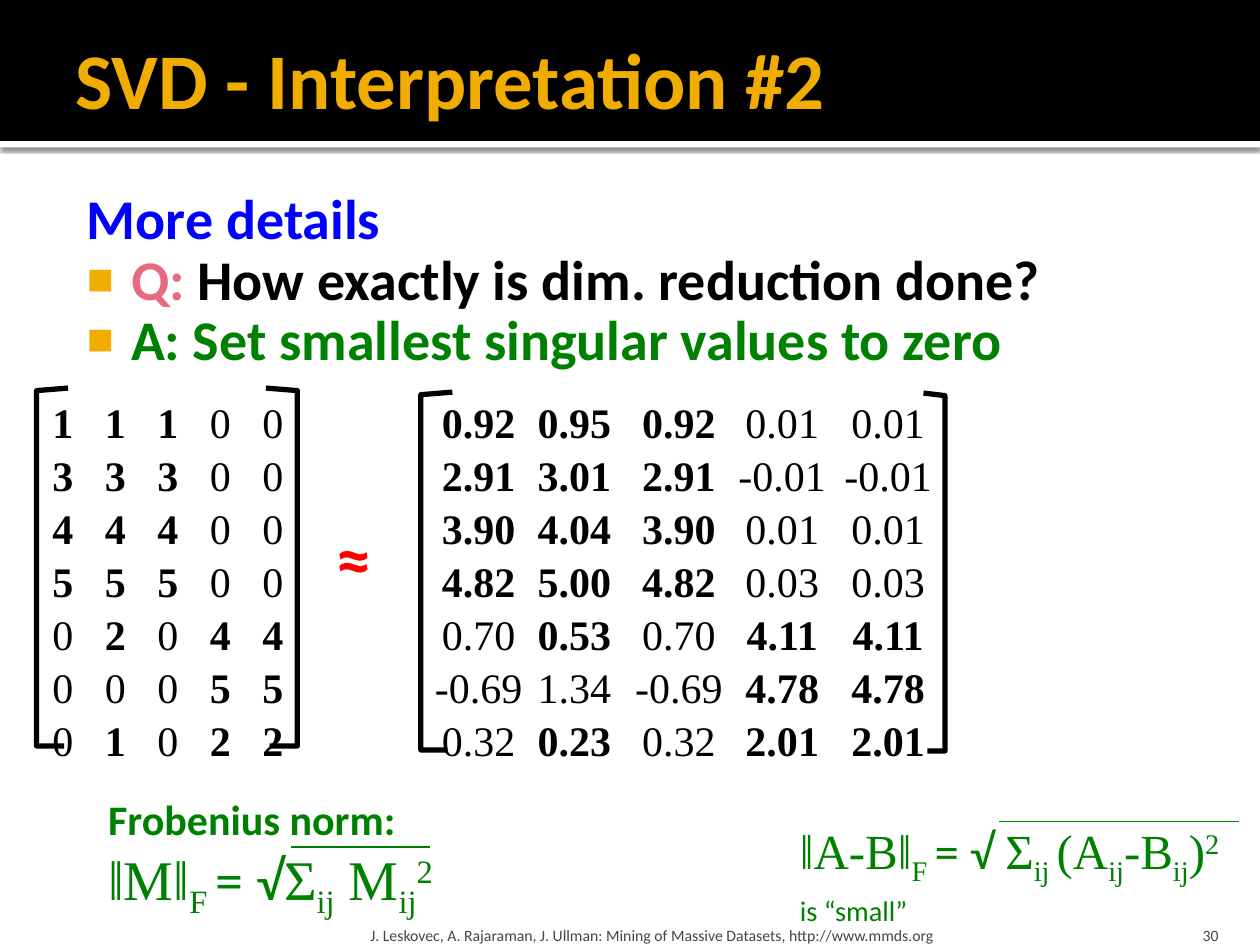
from lxml import etree
from pptx import Presentation
from pptx import util as u
from pptx.dml.color import RGBColor
from pptx.enum import shapes, text
from pptx.oxml.ns import qn

BLACK = RGBColor(0x00, 0x00, 0x00)
WHITE = RGBColor(0xFF, 0xFF, 0xFF)
AMBER = RGBColor(0xF0, 0xAD, 0x00)
BLUE = RGBColor(0x00, 0x00, 0xFF)
PINK = RGBColor(0xE6, 0x6C, 0x7D)
GREEN = RGBColor(0x00, 0x80, 0x00)
RED = RGBColor(0xFF, 0x00, 0x00)
GRAY = RGBColor(0x45, 0x45, 0x45)
SANS, SERIF = "Calibri", "Times New Roman"

deck = Presentation()
deck.slide_width, deck.slide_height = u.Inches(10), u.Inches(7.5)
COL, ROW = deck.slide_width / 100, deck.slide_height / 100
slide = deck.slides.add_slide(deck.slide_layouts[1])


def add_run(paragraph, words, size, color, font=SANS, bold=False, baseline=0):
    run = paragraph.add_run()
    run.text = words
    run.font.size, run.font.name, run.font.bold = u.Pt(size), font, bold
    run.font.color.rgb = color
    if baseline:
        run._r.get_or_add_rPr().set("baseline", str(baseline * 1000))


def add_frame(left, top, width, height, wrap=True, anchor=text.MSO_ANCHOR.TOP):
    frame = slide.shapes.add_textbox(
        round(left * COL), round(top * ROW), round(width * COL), round(height * ROW)
    ).text_frame
    frame.word_wrap = wrap
    frame.vertical_anchor = anchor
    return frame


HEADER_ROWS = 14.93
stripe, header = [
    slide.shapes.add_shape(
        shapes.MSO_SHAPE.RECTANGLE, 0, round(top * ROW), deck.slide_width, round(height * ROW)
    )
    for top, height in ((HEADER_ROWS, 0.67), (0, HEADER_ROWS))
]
for depth, (band, color) in enumerate(((stripe, WHITE), (header, BLACK))):
    band.shadow.inherit = False
    band.fill.solid()
    band.fill.fore_color.rgb = color
    band.line.fill.background()
    slide.shapes._spTree.insert(2 + depth, band._element)

effects = stripe._element.spPr.find(qn("a:effectLst"))
shadow = etree.SubElement(
    effects, qn("a:outerShdw"), blurRad="31750", dist="10160", dir="5400000", rotWithShape="0"
)
shade = etree.SubElement(shadow, qn("a:srgbClr"), val="000000")
etree.SubElement(shade, qn("a:alpha"), val="60000")

title, body = slide.shapes.title, slide.placeholders[1]
for holder, top, height, margins in (
    (title, 1.07, 14.4, (0.1, 0.05, 0.05, 0.05)),
    (body, 18.93, 76.67, (0.06, 0.1, 0.1, 0.05)),
):
    holder.left, holder.top = round(5 * COL), round(top * ROW)
    holder.width, holder.height = round(90 * COL), round(height * ROW)
    frame = holder.text_frame
    frame.auto_size = text.MSO_AUTO_SIZE.NONE
    frame.margin_left, frame.margin_top, frame.margin_right, frame.margin_bottom = map(u.Inches, margins)

title.text_frame.vertical_anchor = text.MSO_ANCHOR.MIDDLE
heading = title.text_frame.paragraphs[0]
heading.alignment = text.PP_ALIGN.LEFT
add_run(heading, "SVD - Interpretation #2", 45, AMBER, bold=True)

points = (
    (False, (("More details", BLUE),)),
    (True, (("Q: ", PINK), ("How exactly is dim. reduction done?", BLACK))),
    (True, (("A: Set smallest singular values to zero", GREEN),)),
)
for index, (bulleted, parts) in enumerate(points):
    point = body.text_frame.add_paragraph() if index else body.text_frame.paragraphs[0]
    point.line_spacing, point.space_before = 0.9, u.Pt(0)
    layout = point._p.get_or_add_pPr()
    layout.set("marL", str(u.Inches(0.48)))
    layout.set("indent", str(u.Inches(-0.35)))
    if bulleted:
        tint = etree.SubElement(layout, qn("a:buClr"))
        etree.SubElement(tint, qn("a:srgbClr"), val=str(AMBER))
        etree.SubElement(layout, qn("a:buSzPct"), val="80000")
        etree.SubElement(layout, qn("a:buChar"), char="■")
    else:
        etree.SubElement(layout, qn("a:buNone"))
    for words, color in parts:
        add_run(point, words, 32, color, bold=True)

for left, width, words, inset, alignment in (
    (28.9, 60.2, "J. Leskovec, A. Rajaraman, J. Ullman: Mining of Massive Datasets, http://www.mmds.org",
     0.05, text.PP_ALIGN.LEFT),
    (89.7, 8, "30", 0.1, text.PP_ALIGN.RIGHT),
):
    footer = add_frame(left, 96, width, 4, anchor=text.MSO_ANCHOR.BOTTOM)
    footer.margin_left = footer.margin_right = u.Inches(inset)
    footer.margin_bottom = 0
    footer.paragraphs[0].alignment = alignment
    add_run(footer.paragraphs[0], words, 9, GRAY)

ratings = [
    "1 1 1 0 0".split(),
    "3 3 3 0 0".split(),
    "4 4 4 0 0".split(),
    "5 5 5 0 0".split(),
    "0 2 0 4 4".split(),
    "0 0 0 5 5".split(),
    "0 1 0 2 2".split(),
]
approximation = [
    "0.92 0.95 0.92 0.01 0.01".split(),
    "2.91 3.01 2.91 -0.01 -0.01".split(),
    "3.90 4.04 3.90 0.01 0.01".split(),
    "4.82 5.00 4.82 0.03 0.03".split(),
    "0.70 0.53 0.70 4.11 4.11".split(),
    "-0.69 1.34 -0.69 4.78 4.78".split(),
    "0.32 0.23 0.32 2.01 2.01".split(),
]
for matrix, left, width, centers in (
    (ratings, 2.5, 21.7, [1.5 + 4.17 * step for step in range(5)]),
    (approximation, 33.3, 47.5, (3.7, 11.3, 19.6, 27.8, 36.2)),
):
    frame = add_frame(left, 41.07, width, 39.07)
    for index, values in enumerate(matrix):
        line = frame.add_paragraph() if index else frame.paragraphs[0]
        line.line_spacing = 1.05
        stops = etree.SubElement(line._p.get_or_add_pPr(), qn("a:tabLst"))
        for center in centers:
            etree.SubElement(stops, qn("a:tab"), pos=str(round(center * COL)), algn="ctr")
        for value, rating in zip(values, ratings[index]):
            add_run(line, "\t" + value, 24, BLACK, SERIF, bold=rating != "0")

for upper_tip, spine, lower_tip, top in (
    (5.4, 2.9, 5.1, 41.07),
    (21.1, 23.6, 21.4, 41.07),
    (35.9, 33.4, 35.5, 41.5),
    (73.3, 75, 73.6, 41.6),
):
    outline = slide.shapes.build_freeform(round(upper_tip * COL), round(top * ROW))
    corners = ((spine, top + 0.27), (spine, top + 37.87), (lower_tip, top + 37.87))
    outline.add_line_segments([(round(x * COL), round(y * ROW)) for x, y in corners], close=False)
    bracket = outline.convert_to_shape()
    bracket.shadow.inherit = False
    bracket.fill.background()
    bracket.line.color.rgb, bracket.line.width = BLACK, u.Pt(3)

approx = add_frame(25.7, 53.73, 5.1, 10.27, wrap=False, anchor=text.MSO_ANCHOR.MIDDLE)
add_run(approx.paragraphs[0], "≈", 40, RED, bold=True)

norm = add_frame(7.6, 83.33, 29.1, 13.87, wrap=False)
add_run(norm.paragraphs[0], "Frobenius norm:", 24, GREEN, bold=True)
error = add_frame(62.5, 86.13, 37.1, 13.87, wrap=False)
for formula, size, parts in (
    (norm.add_paragraph(), 32, (
        ("ǁMǁ", SERIF, 0), ("F ", SERIF, -25), ("= √", SANS, 0), ("Σ", SERIF, 0),
        ("ij", SERIF, -25), (" M", SERIF, 0), ("ij", SERIF, -25), ("2", SERIF, 30))),
    (error.paragraphs[0], 28, (
        ("ǁA-Bǁ", SERIF, 0), ("F ", SERIF, -25), ("= √ ", SANS, 0), ("Σ", SERIF, 0),
        ("ij ", SERIF, -25), ("(A", SERIF, 0), ("ij", SERIF, -25), ("-B", SERIF, 0),
        ("ij", SERIF, -25), (")", SERIF, 0), ("2", SERIF, 30))),
    (error.add_paragraph(), 28, (("is “small”", SANS, 30),)),
):
    for words, font, baseline in parts:
        add_run(formula, words, size, GREEN, font, baseline=baseline)

for start, end, height in ((23.1, 34.1, 89.6), (79.3, 98.3, 86.93)):
    root_bar = slide.shapes.add_connector(
        shapes.MSO_CONNECTOR.STRAIGHT,
        round(start * COL), round(height * ROW), round(end * COL), round(height * ROW),
    )
    root_bar.line.color.rgb, root_bar.line.width = GREEN, u.Pt(1)
    etree.SubElement(root_bar._element.spPr, qn("a:effectLst"))

deck.save("out.pptx")
